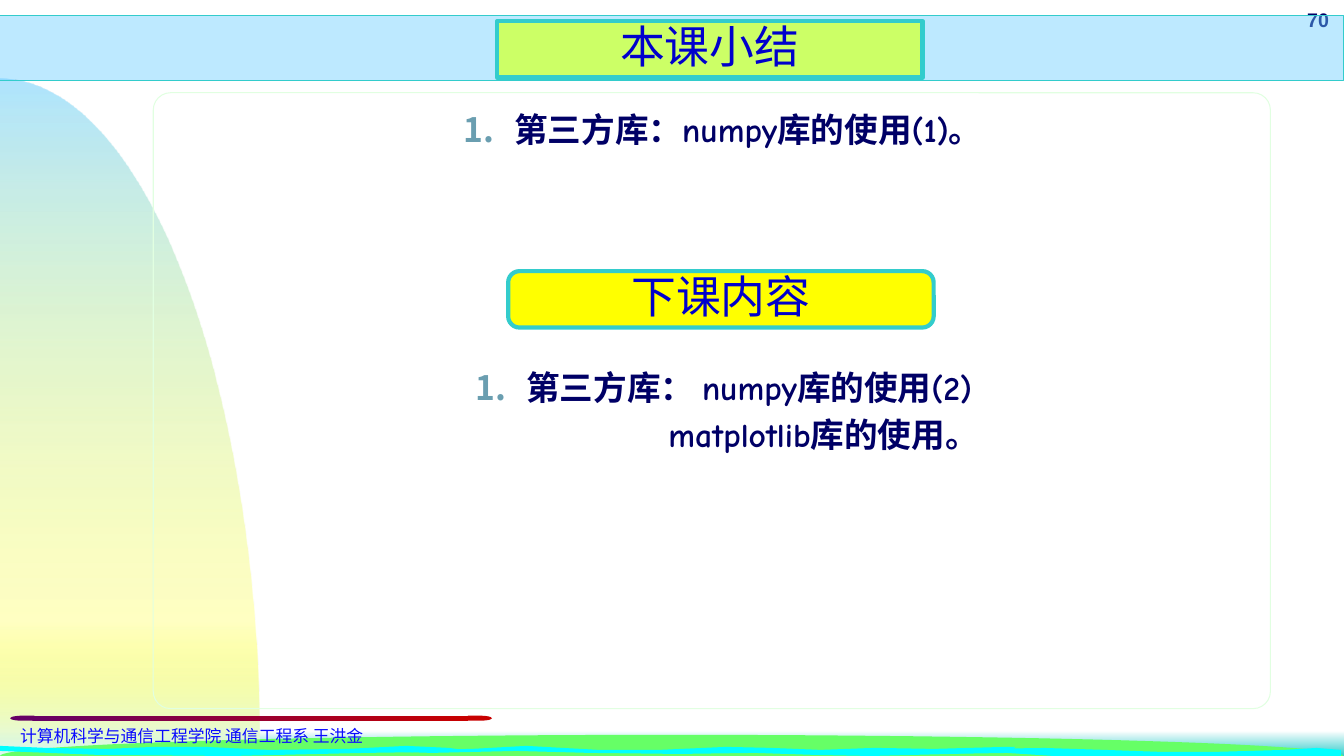
import math

import pptx
import pptx.dml.color
import pptx.enum.shapes
import pptx.enum.text
import pptx.oxml
import pptx.oxml.ns
import pptx.util
from lxml import etree

Inches = pptx.util.Inches
Pt = pptx.util.Pt
qn = pptx.oxml.ns.qn
SHAPE = pptx.enum.shapes.MSO_SHAPE
ALIGN = pptx.enum.text.PP_ALIGN
CJK_FONT = "Noto Sans CJK SC"


def paint(shape, stops=(), angle=0, line=None, width=0.75):
    """Fill with (position, hex, opacity) stops, all in percent; one stop is solid."""
    shape.shadow.inherit = False
    if not stops:
        shape.fill.background()
    elif len(stops) == 1:
        shape.fill.solid()
        shape.fill.fore_color.rgb = pptx.dml.color.RGBColor.from_string(stops[0][1])
        color = shape.element.spPr.find(qn("a:solidFill"))[0]
        etree.SubElement(color, qn("a:alpha"), val=str(stops[0][2] * 1000))
    else:
        shape.fill.gradient()
        shape.fill.gradient_angle = -angle % 360
        stop_list = shape.element.spPr.find(".//" + qn("a:gsLst"))
        for old_stop in list(stop_list):
            stop_list.remove(old_stop)
        for position, hex_color, opacity in stops:
            stop = etree.SubElement(stop_list, qn("a:gs"), pos=str(position * 1000))
            color = etree.SubElement(stop, qn("a:srgbClr"), val=hex_color)
            etree.SubElement(color, qn("a:alpha"), val=str(opacity * 1000))
    if line:
        shape.line.color.rgb = pptx.dml.color.RGBColor.from_string(line)
        shape.line.width = Pt(width)
    else:
        shape.line.fill.background()


def format_text(paragraph, size, font, hex_color, bold=False, align=ALIGN.LEFT):
    paragraph.alignment = align
    for run in paragraph.runs:
        run.font.size = Pt(size)
        run.font.name = font
        run.font.bold = bold
        run.font.color.rgb = pptx.dml.color.RGBColor.from_string(hex_color)
        etree.SubElement(run.font._element, qn("a:ea"), typeface=CJK_FONT)


presentation = pptx.Presentation()
presentation.slide_width = Inches(13.33)
presentation.slide_height = Inches(7.5)
slide = presentation.slides.add_slide(presentation.slide_layouts[3])
shapes = slide.shapes
title, summary_list, next_list = list(slide.placeholders)[:3]

# Background: side arc, bottom strip, hill and waves
strip = shapes.add_shape(SHAPE.RECTANGLE, 0, Inches(7.25), Inches(13.33), Inches(0.25))
paint(strip, [(0, "FFFFFF", 100), (100, "33CCCC", 100)], 90)

side_arc = [(0, 7.5)]
hill = []
for step in range(61):
    quarter = math.pi / 2 * step / 60
    side_arc.append((2.57 * math.sin(quarter), 7.5 - 6.72 * math.cos(quarter)))
    hill.append((6.66 - 6.66 * math.cos(2 * quarter), 7.5 - 0.21 * math.sin(2 * quarter)))

right_wave = [(9.7, 7.43), (10.36, 7.42), (10.97, 7.44), (11.53, 7.46), (12.03, 7.46),
              (12.73, 7.44), (13.06, 7.42), (13.3, 7.44), (13.3, 7.5), (12.07, 7.5),
              (10.46, 7.5), (9.99, 7.47), (9.37, 7.48)]
middle_wave = [(10.07, 7.41), (10.03, 7.45), (9.44, 7.48), (8.64, 7.5), (8.09, 7.49),
               (7.49, 7.47), (6.73, 7.48), (5.85, 7.47), (5.12, 7.45), (4.28, 7.47),
               (3.98, 7.46), (4.14, 7.44), (4.68, 7.43), (5.22, 7.4), (5.94, 7.44),
               (6.54, 7.44), (7.2, 7.41), (7.64, 7.42), (8.14, 7.44), (8.67, 7.42),
               (9.26, 7.43), (9.97, 7.41)]
left_wave = [(4.34, 7.46), (3.62, 7.47), (2.3, 7.5), (0.98, 7.49), (0, 7.45), (0, 7.4),
             (0.45, 7.42), (1.06, 7.43), (1.53, 7.41), (2.04, 7.41), (2.66, 7.44),
             (3.44, 7.43), (4.03, 7.4), (4.45, 7.42), (4.67, 7.45)]
aqua = [(0, "00FFFF", 100)]
side_colors = [(0, "66CCFF", 52), (80, "FFFF00", 23), (100, "DFF9F9", 100)]
for outline, stops in [(side_arc, side_colors), (hill, [(0, "66FF66", 100)]),
                       (right_wave, aqua), (middle_wave, aqua), (left_wave, aqua)]:
    points = [(Inches(x), Inches(y)) for x, y in outline]
    builder = shapes.build_freeform(*points[0])
    builder.add_line_segments(points[1:])
    paint(builder.convert_to_shape(), stops, 90)

# Page number, frame, footer and header bar
page_number = shapes.add_textbox(Inches(12.44), Inches(0.03), Inches(0.84), Inches(0.33))
page_number.text_frame.word_wrap = True
page_number.text_frame.text = "70"
format_text(page_number.text_frame.paragraphs[0], 14, "Arial", "000066", True, ALIGN.RIGHT)

frame = shapes.add_shape(SHAPE.ROUNDED_RECTANGLE, Inches(1.52), Inches(0.92),
                         Inches(11.08), Inches(6.11))
frame.adjustments[0] = 0.028
paint(frame, line="E1FFE1")

rule = shapes.add_shape(SHAPE.RECTANGLE, Inches(0.32), Inches(7.1), Inches(4.32), Inches(0.05))
paint(rule, [(0, "660066", 100), (100, "C80000", 100)])
for left, rotation, hex_color in [(0.1, 180, "660066"), (4.64, 0, "C80000")]:
    rule_end = shapes.add_shape(SHAPE.FLOWCHART_DELAY, Inches(left), Inches(7.1),
                                Inches(0.24), Inches(0.05))
    rule_end.rotation = rotation
    paint(rule_end, [(0, hex_color, 100)])

footer = shapes.add_textbox(Inches(0.1), Inches(7.15), Inches(4.88), Inches(0.3))
footer.text_frame.word_wrap = True
footer.text_frame.text = "计算机科学与通信工程学院 通信工程系 王洪金"
format_text(footer.text_frame.paragraphs[0], 12, "Arial", "0A0AFF")

header_bar = shapes.add_shape(SHAPE.RECTANGLE, 0, Inches(0.15), Inches(13.33), Inches(0.65))
paint(header_bar, [(0, "66CCFF", 43)], line="33CCCC")

# Headings: the title takes the outline of the second heading
next_heading = shapes.add_shape(SHAPE.ROUNDED_RECTANGLE, 0, 0, Inches(1), Inches(1))
next_heading.adjustments[0] = 0.2
for heading, text, left, top, hex_color in [(title, "本课小结", 4.93, 0.21, "CCFF66"),
                                            (next_heading, "下课内容", 5.04, 2.69, "FFFF00")]:
    heading.left, heading.top = Inches(left), Inches(top)
    heading.width, heading.height = Inches(4.22), Inches(0.56)
    if heading is title:
        geometry = etree.SubElement(heading.element.spPr, qn("a:prstGeom"), prst="roundRect")
        guides = etree.SubElement(geometry, qn("a:avLst"))
        etree.SubElement(guides, qn("a:gd"), name="adj", fmla="val 20000")
    paint(heading, [(0, hex_color, 100)], line="33CCCC", width=3)
    heading.text_frame.text = text
    heading.text_frame.auto_size = pptx.enum.text.MSO_AUTO_SIZE.NONE
    heading.text_frame.vertical_anchor = pptx.enum.text.MSO_ANCHOR.MIDDLE
    heading.text_frame.paragraphs[0].line_spacing = 0.9
    format_text(heading.text_frame.paragraphs[0], 32, CJK_FONT, "0000CC", align=ALIGN.CENTER)

# Lists: the first line is numbered, a further line is indented below it
for body, text, left, top, width, height in [
        (summary_list, "第三方库：numpy库的使用(1)。", 4.5, 1.03, 5.79, 0.62),
        (next_list, "第三方库： numpy库的使用(2)\nmatplotlib库的使用。", 4.62, 3.59, 6.54, 0.98)]:
    body.left, body.top = Inches(left), Inches(top)
    body.width, body.height = Inches(width), Inches(height)
    body.text_frame.text = text
    body.text_frame.auto_size = pptx.enum.text.MSO_AUTO_SIZE.NONE
    for index, paragraph in enumerate(body.text_frame.paragraphs):
        paragraph.space_before = Pt(4.8)
        format_text(paragraph, 24, "Comic Neue", "000066", True)
        properties = paragraph._p.get_or_add_pPr()
        if index == 0:
            properties.set("marL", str(Inches(0.5)))
            properties.set("indent", str(Inches(-0.5)))
            bullet_color = etree.SubElement(properties, qn("a:buClr"))
            etree.SubElement(bullet_color, qn("a:srgbClr"), val="6A9EB0")
            etree.SubElement(properties, qn("a:buFont"), typeface=CJK_FONT)
            etree.SubElement(properties, qn("a:buAutoNum"), type="arabicPeriod")
        else:
            properties.set("marL", str(Inches(1.91)))
            properties.set("indent", "0")
            etree.SubElement(properties, qn("a:buNone"))

# Bring the placeholders in front of the background
for placeholder in (next_list, title, summary_list):
    placeholder.element.getparent().append(placeholder.element)

presentation.save("out.pptx")
